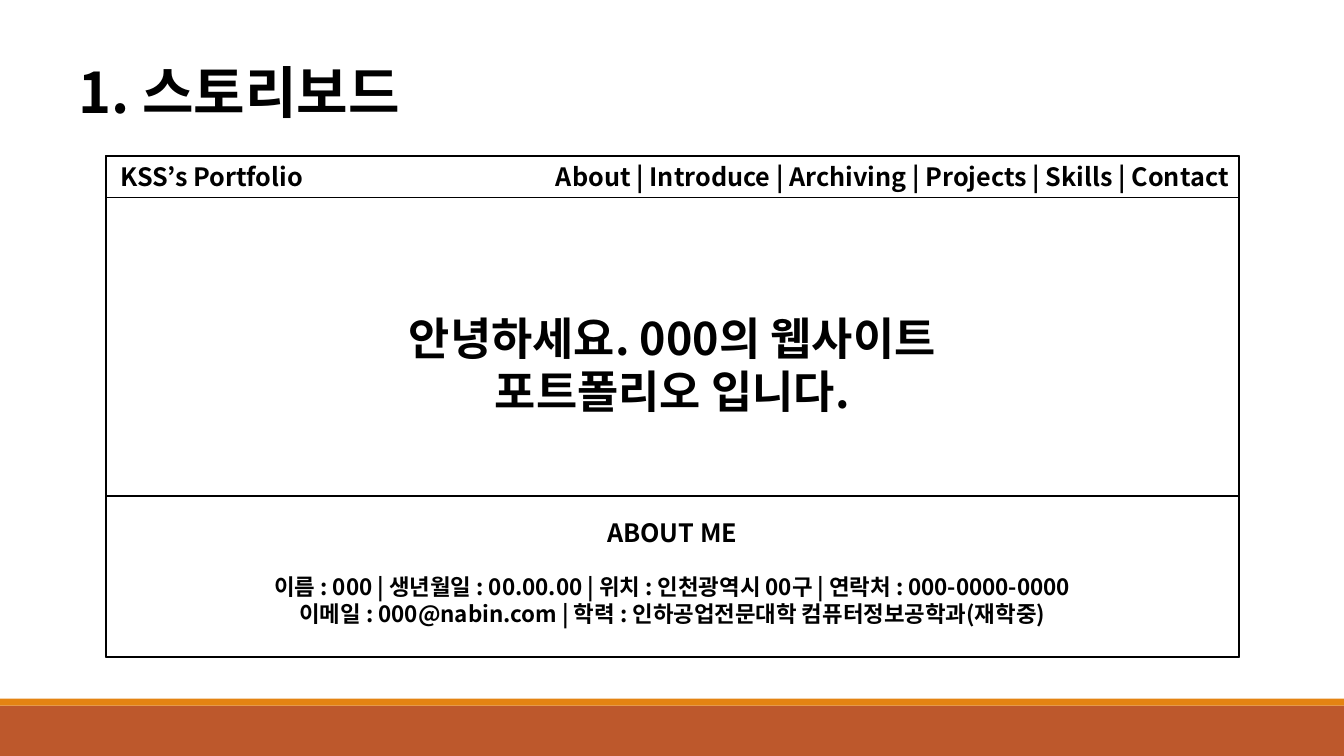
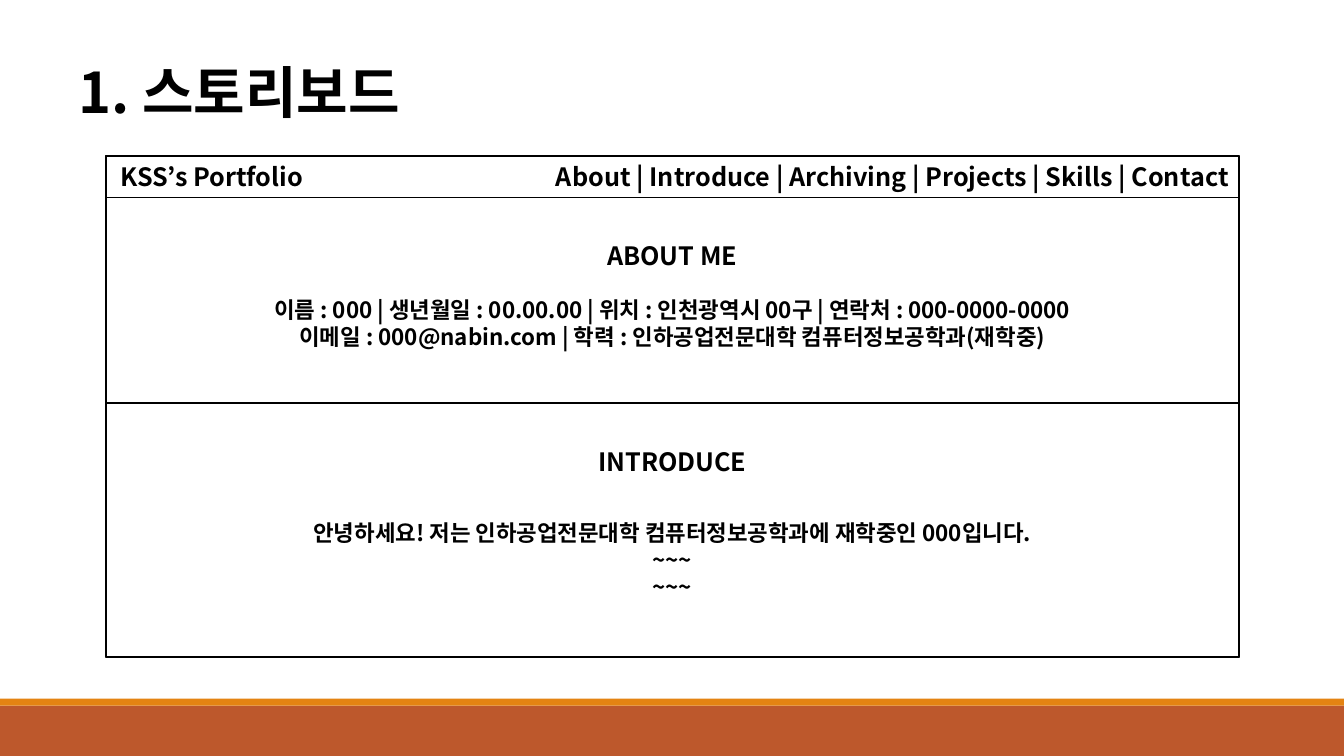
from dataclasses import dataclass

import pptx
import pptx.dml.color
import pptx.enum.shapes
import pptx.enum.text
import pptx.oxml.ns
import pptx.util
from lxml import etree

Pt = pptx.util.Pt
ALIGN = pptx.enum.text.PP_ALIGN


@dataclass(frozen=True)
class Theme:
    font: str = "Noto Sans CJK KR"
    ink: str = "000000"
    band: str = "BD582C"
    stripe: str = "E48312"
    title: int = 40
    greeting: int = 32
    heading: int = 18
    body: int = 16
    outline: float = 1.25
    leading: float = 1.2


@dataclass(frozen=True)
class Box:
    left: float
    top: float
    width: float
    height: float

    def lengths(self):
        return [Pt(v) for v in (self.left, self.top, self.width, self.height)]

    def centered(self, offset, width, height):
        """A box centred across this one, offset from its top."""
        return Box(self.left + (self.width - width) / 2, self.top + offset, width, height)

    def rows(self, *heights):
        """Split into stacked boxes; the last takes what remains."""
        top, parts = self.top, []
        for height in heights:
            parts.append(Box(self.left, top, self.width, height))
            top += height
        return parts + [Box(self.left, top, self.width, self.top + self.height - top)]


THEME = Theme()
SLIDE = Box(0, 0, 960, 540)
FRAME = Box(75.6, 111.6, 809.2, 357.8)
NAV_HEIGHT = 29.5

ABOUT_LINES = [
    "이름 : 000 | 생년월일 : 00.00.00 | 위치 : 인천광역시 00구 | 연락처 : 000-0000-0000",
    "이메일 : 000@nabin.com | 학력 : 인하공업전문대학 컴퓨터정보공학과(재학중)",
]
INTRODUCE_LINES = [
    "안녕하세요! 저는 인하공업전문대학 컴퓨터정보공학과에 재학중인 000입니다.",
    "~~~",
    "~~~",
]


def rgb(value):
    return pptx.dml.color.RGBColor.from_string(value)


def add_text(slide, box, lines, size=THEME.body, align=ALIGN.CENTER):
    text_frame = slide.shapes.add_textbox(*box.lengths()).text_frame
    text_frame.word_wrap = True
    text_frame.auto_size = pptx.enum.text.MSO_AUTO_SIZE.SHAPE_TO_FIT_TEXT
    for index, line in enumerate(lines):
        paragraph = text_frame.add_paragraph() if index else text_frame.paragraphs[0]
        paragraph.alignment = align
        paragraph.line_spacing = Pt(size * THEME.leading)
        run = paragraph.add_run()
        run.text = line
        run.font.size = Pt(size)
        run.font.bold = True
        run.font.color.rgb = rgb(THEME.ink)
        run.font.name = THEME.font
        # Hangul takes its typeface from the East Asian slot
        east_asian = etree.SubElement(run.font._element, pptx.oxml.ns.qn("a:ea"))
        east_asian.set("typeface", THEME.font)


def add_rectangle(slide, box, fill=None):
    """A filled rectangle, or an outlined one when no fill is given."""
    rectangle = slide.shapes.add_shape(
        pptx.enum.shapes.MSO_SHAPE.RECTANGLE, *box.lengths())
    rectangle.shadow.inherit = False
    if fill:
        rectangle.fill.solid()
        rectangle.fill.fore_color.rgb = rgb(fill)
        rectangle.line.fill.background()
    else:
        rectangle.fill.background()
        rectangle.line.color.rgb = rgb(THEME.ink)
        rectangle.line.width = Pt(THEME.outline)


def add_footer(slide, box):
    stripe, band = box.rows(5)
    add_rectangle(slide, band, fill=THEME.band)
    add_rectangle(slide, stripe, fill=THEME.stripe)


def add_navigation(slide, box):
    add_rectangle(slide, box)
    brand = Box(box.left + 3.6, box.top, 184.4, box.height)
    menu_left = 360
    menu = Box(menu_left, box.top, box.left + box.width - menu_left, box.height)
    add_text(slide, brand, ["KSS’s Portfolio"], size=THEME.heading, align=ALIGN.LEFT)
    add_text(slide, menu, ["About | Introduce | Archiving | Projects | Skills | Contact"],
             size=THEME.heading, align=ALIGN.RIGHT)


def add_greeting(slide, box):
    add_text(slide, box.centered(77, 412.6, 85),
             ["안녕하세요. 000의 웹사이트 포트폴리오 입니다."], size=THEME.greeting)


def add_section(slide, box, heading, lines, heading_offset, body_offset):
    """A centred heading, with its lines body_offset below the heading's top."""
    add_text(slide, box.centered(heading_offset, 184.4, 29), [heading], size=THEME.heading)
    body_height = 7.2 + len(lines) * THEME.body * THEME.leading
    add_text(slide, box.centered(heading_offset + body_offset, 689.8, body_height), lines)


def add_storyboard(presentation, upper_height):
    """Shared page: returns the slide and the two regions below the navigation."""
    slide = presentation.slides.add_slide(presentation.slide_layouts[6])
    add_footer(slide, Box(0, 499, SLIDE.width, 41))
    add_text(slide, Box(49, 37.4, 787, 55.4), ["1. 스토리보드"],
             size=THEME.title, align=ALIGN.JUSTIFY)
    navigation, upper, lower = FRAME.rows(NAV_HEIGHT, upper_height)
    add_rectangle(slide, FRAME)
    add_rectangle(slide, lower)
    add_navigation(slide, navigation)
    return slide, upper, lower


def main():
    presentation = pptx.Presentation()
    presentation.slide_width = Pt(SLIDE.width)
    presentation.slide_height = Pt(SLIDE.height)

    # Landing view: greeting above the profile
    slide, upper, lower = add_storyboard(presentation, upper_height=213.2)
    add_greeting(slide, upper)
    add_section(slide, lower, "ABOUT ME", ABOUT_LINES, 11.5, 40)

    # Scrolled view: profile above the introduction
    slide, upper, lower = add_storyboard(presentation, upper_height=146.9)
    add_section(slide, upper, "ABOUT ME", ABOUT_LINES, 27, 40)
    add_section(slide, lower, "INTRODUCE", INTRODUCE_LINES, 27, 52.6)

    presentation.save("out.pptx")


if __name__ == "__main__":
    main()
